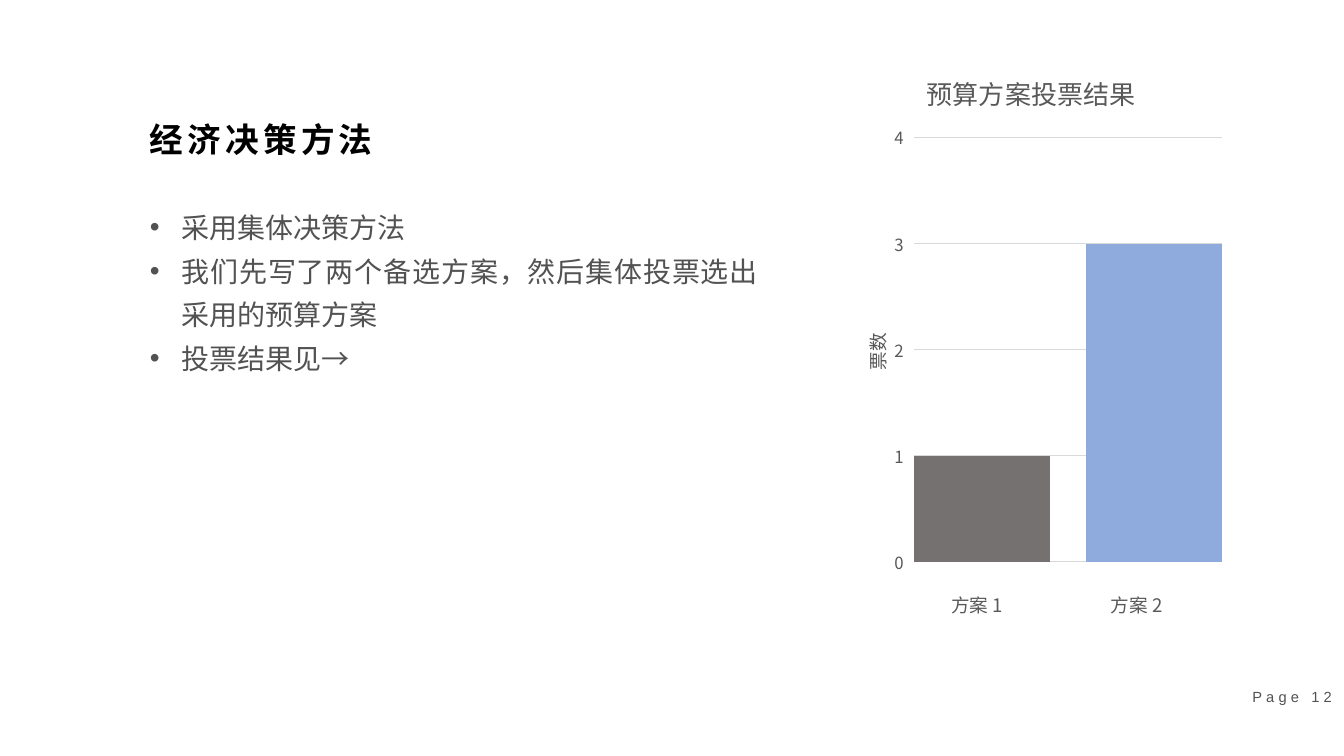
from pptx import Presentation
from pptx.chart.data import CategoryChartData
from pptx.dml.color import RGBColor
from pptx.enum.chart import XL_CHART_TYPE, XL_TICK_MARK
from pptx.enum.text import MSO_ANCHOR, PP_ALIGN
from pptx.oxml import parse_xml
from pptx.oxml.ns import nsdecls, qn
from pptx.util import Pt
from lxml import etree

HEADING = "经济决策方法"
POINTS = ["采用集体决策方法",
          "我们先写了两个备选方案，然后集体投票选出采用的预算方案",
          "投票结果见→"]
PAGE = "Page 12"
CHART_TITLE, AXIS_TITLE = "预算方案投票结果", "票数"
VOTES = [("方案 1", 1, "767171", 698), ("方案 2", 3, "8FAADC", 812)]
CJK, GREY, CHART_GREY = "Noto Sans CJK SC", "525252", "595959"


def rgb(code):
    return RGBColor.from_string(code)


def style(font, size, color, name, bold=False):
    font.size, font.name, font.bold = Pt(size), name, bold
    font.color.rgb = rgb(color)


def add_text(box, lines, size, color, name="Arial", bold=False, align=PP_ALIGN.LEFT,
             anchor=MSO_ANCHOR.TOP, tracking=0):
    frame = slide.shapes.add_textbox(*map(Pt, box)).text_frame
    frame.word_wrap, frame.vertical_anchor = True, anchor
    for i, line in enumerate(lines):
        paragraph = frame.paragraphs[0] if i == 0 else frame.add_paragraph()
        paragraph.alignment = align
        run = paragraph.add_run()
        run.text = line
        style(run.font, size, color, name, bold)
        props = run.font._element
        props.set("spc", str(tracking * 100))
        props.find(qn("a:latin")).addnext(
            parse_xml(f'<a:ea {nsdecls("a")} typeface="{CJK}"/>'))
    return frame


def layout(x, y, w=None, h=None):
    modes = "".join(f'<c:{k}Mode val="edge"/>' for k in "xy")
    sizes = "".join(f'<c:{k} val="{v}"/>' for k, v in zip("xywh", (x, y, w, h)) if v)
    target = '<c:layoutTarget val="inner"/>' if w else ""
    return parse_xml(f'<c:layout {nsdecls("c")}><c:manualLayout>{target}{modes}{sizes}'
                     '</c:manualLayout></c:layout>')


def place(element, new_layout, after=None):
    for old in element.findall(qn("c:layout")):
        element.remove(old)
    if after is None:
        element.insert(0, new_layout)
    else:
        element.find(qn(after)).addnext(new_layout)


def title_text(title, text, size, x, y):
    title.text_frame.text = text
    run = title.text_frame.paragraphs[0].runs[0]
    style(run.font, size, CHART_GREY, CJK)
    etree.SubElement(run.font._element, qn("a:ea")).set("typeface", CJK)
    place(title._element, layout(x, y), "c:tx")


prs = Presentation()
prs.slide_width, prs.slide_height = Pt(960), Pt(540)
slide = prs.slides.add_slide(prs.slide_layouts[6])

add_text((100, 81.5, 240, 36), [HEADING], 24, "000000", bold=True, tracking=3)
add_text((879, 483, 79.5, 29), [PAGE], 10.5, GREY, align=PP_ALIGN.RIGHT,
         anchor=MSO_ANCHOR.MIDDLE, tracking=3)
body = add_text((100, 139.5, 448.5, 130), POINTS, 20, GREY, align=PP_ALIGN.JUSTIFY)
for paragraph in body.paragraphs:
    paragraph.line_spacing = 1.3
    props = paragraph._p.get_or_add_pPr()
    props.set("marL", str(Pt(22.5)))
    props.set("indent", str(-Pt(22.5)))
    etree.SubElement(props, qn("a:buFont")).set("typeface", "Arial")
    etree.SubElement(props, qn("a:buChar")).set("char", "•")

data = CategoryChartData(number_format="0")
data.categories = ["1"]
for name, votes, color, center in VOTES:
    data.add_series(name, [votes])
chart = slide.shapes.add_chart(XL_CHART_TYPE.COLUMN_CLUSTERED,
                               *map(Pt, (592.5, 30, 286.5, 427)), data).chart
style(chart.font, 12, CHART_GREY, CJK)
chart.has_legend = False
chart.has_title = True
title_text(chart.chart_title, CHART_TITLE, 18.6, 0.23, 0.04)
plot = chart.plots[0]
plot.gap_width, plot.overlap, plot.vary_by_categories = 0, -27, False
for series, (name, votes, color, center) in zip(plot.series, VOTES):
    series.format.fill.solid()
    series.format.fill.fore_color.rgb = rgb(color)
place(chart._chartSpace.chart.plotArea, layout(0.21, 0.16, 0.77, 0.71))

chart.category_axis.visible = False
axis = chart.value_axis
axis.minimum_scale, axis.maximum_scale, axis.major_unit = 0, 4, 1
axis.major_tick_mark = XL_TICK_MARK.OUTSIDE
axis.format.line.fill.background()
style(axis.tick_labels.font, 12, CHART_GREY, CJK)
grid = axis.major_gridlines.format.line
grid.color.rgb, grid.width = rgb("D9D9D9"), Pt(0.75)
axis.has_title = True
title_text(axis.axis_title, AXIS_TITLE, 13.3, 0.07, 0.48)
axis.axis_title.text_frame._txBody.bodyPr.set("rot", "-5400000")

for name, votes, color, center in VOTES:
    add_text((center - 40, 418, 80, 28), [name], 13.3, CHART_GREY, CJK,
             align=PP_ALIGN.CENTER, anchor=MSO_ANCHOR.MIDDLE)

prs.save("out.pptx")
